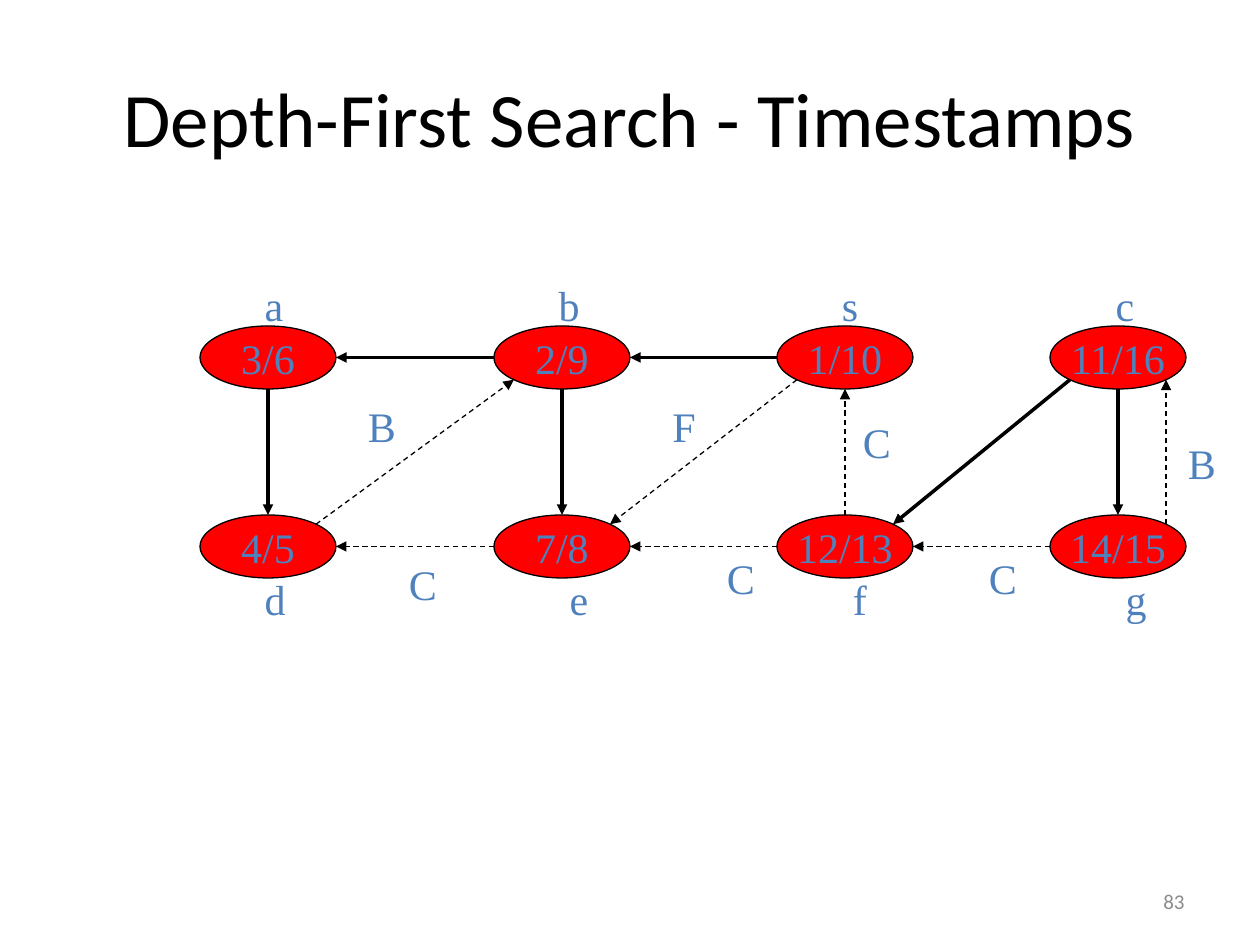
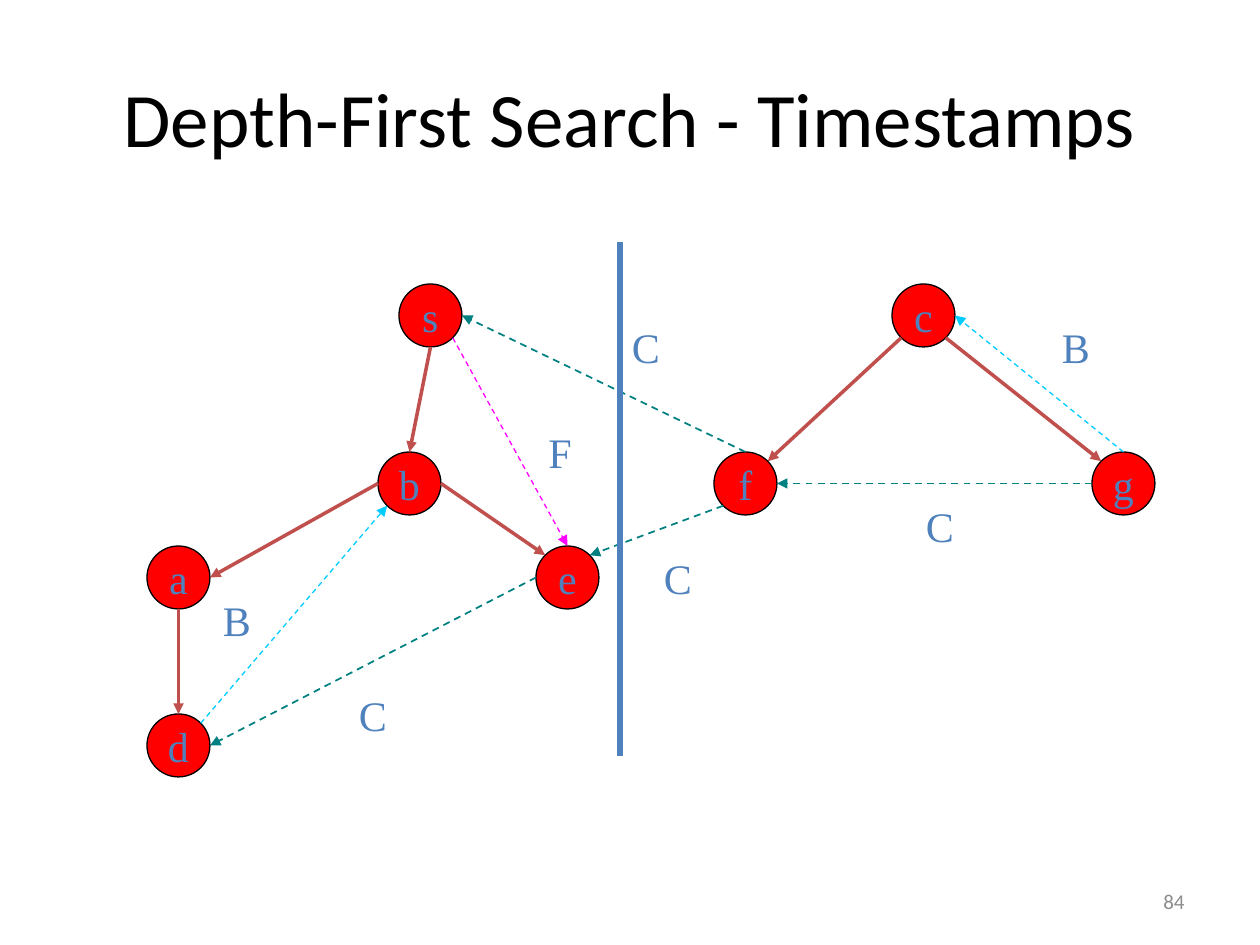
import math

import pptx
import pptx.dml.color
import pptx.enum.dml
import pptx.enum.shapes
import pptx.enum.text
import pptx.oxml
import pptx.oxml.ns
import pptx.util

PX = 914400 / 126
RGB = pptx.dml.color.RGBColor
BLACK = RGB(0x00, 0x00, 0x00)
RED = RGB(0xFF, 0x00, 0x00)
BLUE = RGB(0x4F, 0x81, 0xBD)
BRICK = RGB(0xC0, 0x50, 0x4D)
TEAL = RGB(0x00, 0x80, 0x80)
CYAN = RGB(0x00, 0xCC, 0xFF)
MAGENTA = RGB(0xFF, 0x00, 0xFF)
GREY = RGB(0x8C, 0x8C, 0x8C)

SANS = "Calibri"
SERIF = "Times New Roman"
CENTER = pptx.enum.text.PP_ALIGN.CENTER
RIGHT = pptx.enum.text.PP_ALIGN.RIGHT
TITLE = "Depth-First Search - Timestamps"
LABEL_WIDTHS = {"a": 44, "b": 47, "c": 44, "d": 47, "e": 44, "f": 39,
                "g": 47, "s": 42, "B": 53, "C": 53, "F": 49}
NODE_H = 63
LABEL_H = 63

DIAGONAL = math.sqrt(0.5)
SITES = {"n": (0, -1), "s": (0, 1), "w": (-1, 0), "e": (1, 0),
         "nw": (-DIAGONAL, -DIAGONAL), "ne": (DIAGONAL, -DIAGONAL),
         "sw": (-DIAGONAL, DIAGONAL), "se": (DIAGONAL, DIAGONAL)}

SOLID_BLACK = (BLACK, 2, False)
DASHED_BLACK = (BLACK, 0.75, True)
TREE = (BRICK, 2, False)
CROSS = (TEAL, 1, True)
BACK = (CYAN, 0.75, True)
FORWARD = (MAGENTA, 0.75, True)


def emu(*lengths):
    return [pptx.util.Emu(round(n * PX)) for n in lengths]


def write(tf, text, font, size, color, align=CENTER, wrap=False):
    tf.word_wrap = wrap
    p = tf.paragraphs[0]
    p.alignment = align
    r = p.add_run()
    r.text = text
    r.font.name = font
    r.font.size = pptx.util.Pt(size)
    r.font.color.rgb = color


def add_page(prs, number):
    s = prs.slides.add_slide(prs.slide_layouts[5])
    title = s.shapes.title
    title.left, title.top, title.width, title.height = emu(63, 38, 1134, 157)
    title.text_frame.vertical_anchor = pptx.enum.text.MSO_ANCHOR.MIDDLE
    write(title.text_frame, TITLE, SANS, 44, BLACK, wrap=True)
    tf = s.shapes.add_textbox(*emu(903, 876, 294, 50)).text_frame
    tf.vertical_anchor = pptx.enum.text.MSO_ANCHOR.MIDDLE
    write(tf, str(number), SANS, 12, GREY, RIGHT, wrap=True)
    return s


def add_node(s, text, left, top, width):
    kind = pptx.enum.shapes.MSO_SHAPE.FLOWCHART_CONNECTOR
    sp = s.shapes.add_shape(kind, *emu(left, top, width, NODE_H))
    sp.shadow.inherit = False
    sp.fill.solid()
    sp.fill.fore_color.rgb = RED
    sp.line.color.rgb = BLACK
    sp.line.width = pptx.util.Pt(0.75)
    sp.text_frame.vertical_anchor = pptx.enum.text.MSO_ANCHOR.MIDDLE
    write(sp.text_frame, text, SERIF, 24, BLUE)
    return sp


def add_label(s, text, center, top):
    width = LABEL_WIDTHS[text]
    box = s.shapes.add_textbox(*emu(center - width / 2, top, width, LABEL_H))
    box.text_frame.auto_size = pptx.enum.text.MSO_AUTO_SIZE.SHAPE_TO_FIT_TEXT
    write(box.text_frame, text, SERIF, 24, BLUE)


def add_line(s, start, end, color, width, dashed=False):
    kind = pptx.enum.shapes.MSO_CONNECTOR.STRAIGHT
    line = s.shapes.add_connector(kind, *start, *end)
    line.line.color.rgb = color
    line.line.width = pptx.util.Pt(width)
    if dashed:
        line.line.dash_style = pptx.enum.dml.MSO_LINE.DASH
    effects = pptx.oxml.parse_xml(
        f"<a:effectLst {pptx.oxml.ns.nsdecls('a')}/>")
    line._element.spPr.append(effects)
    return line


def site(node, name):
    dx, dy = SITES[name]
    return (round(node.left + node.width * (1 + dx) / 2),
            round(node.top + node.height * (1 + dy) / 2))


def add_edge(s, nodes, source, source_site, target, target_site, style):
    line = add_line(s, site(nodes[source], source_site),
                    site(nodes[target], target_site), *style)
    head = pptx.oxml.parse_xml(
        f'<a:tailEnd {pptx.oxml.ns.nsdecls("a")} type="triangle"/>')
    line.line._get_or_add_ln().append(head)


def add_graph(s, nodes, edges, labels):
    for edge in edges:
        add_edge(s, nodes, *edge)
    for label in labels:
        add_label(s, *label)


def timestamp_slide(prs):
    s = add_page(prs, 83)
    columns = (200, 494, 777, 1050)
    rows = {326: (("a", "3/6"), ("b", "2/9"), ("s", "1/10"), ("c", "11/16")),
            515: (("d", "4/5"), ("e", "7/8"), ("f", "12/13"), ("g", "14/15"))}
    nodes = {name: add_node(s, times, left, top, 136)
             for top, row in rows.items()
             for left, (name, times) in zip(columns, row)}
    edges = [
        ("b", "w", "a", "e", SOLID_BLACK),
        ("a", "s", "d", "n", SOLID_BLACK),
        ("b", "s", "e", "n", SOLID_BLACK),
        ("s", "w", "b", "e", SOLID_BLACK),
        ("c", "s", "g", "n", SOLID_BLACK),
        ("c", "sw", "f", "ne", SOLID_BLACK),
        ("e", "w", "d", "e", DASHED_BLACK),
        ("d", "ne", "b", "sw", DASHED_BLACK),
        ("s", "sw", "e", "ne", DASHED_BLACK),
        ("f", "w", "e", "e", DASHED_BLACK),
        ("f", "n", "s", "s", DASHED_BLACK),
        ("g", "w", "f", "e", DASHED_BLACK),
        ("g", "ne", "c", "se", DASHED_BLACK),
    ]
    labels = [
        ("a", 274, 273), ("b", 569, 273), ("s", 850, 273), ("c", 1125, 273),
        ("d", 275, 567), ("e", 579, 567), ("f", 860, 567), ("g", 1136, 567),
        ("B", 382, 394), ("F", 684, 394), ("C", 877, 410), ("B", 1202, 431),
        ("C", 423, 552), ("C", 741, 546), ("C", 1003, 546),
    ]
    add_graph(s, nodes, edges, labels)


def forest_slide(prs):
    s = add_page(prs, 84)
    places = {"a": (147, 546), "e": (536, 546), "s": (399, 284),
              "b": (378, 452), "f": (714, 452), "d": (147, 714),
              "c": (892, 284), "g": (1092, 452)}
    nodes = {name: add_node(s, name, *place, NODE_H)
             for name, place in places.items()}
    edges = [
        ("s", "s", "b", "n", TREE),
        ("b", "w", "a", "e", TREE),
        ("a", "s", "d", "n", TREE),
        ("b", "e", "e", "nw", TREE),
        ("c", "se", "g", "nw", TREE),
        ("c", "sw", "f", "ne", TREE),
        ("e", "w", "d", "e", CROSS),
        ("f", "sw", "e", "ne", CROSS),
        ("f", "n", "s", "e", CROSS),
        ("g", "w", "f", "e", CROSS),
        ("d", "ne", "b", "sw", BACK),
        ("g", "n", "c", "e", BACK),
        ("s", "se", "e", "n", FORWARD),
    ]
    labels = [
        ("B", 1076, 315), ("F", 560, 420), ("C", 373, 683), ("C", 940, 494),
        ("C", 678, 546), ("C", 646, 315), ("B", 237, 588),
    ]
    add_graph(s, nodes, edges, labels)
    add_line(s, emu(620, 242), emu(620, 756), BLUE, 3)


def main():
    prs = pptx.Presentation()
    prs.slide_width, prs.slide_height = emu(1260, 945)
    timestamp_slide(prs)
    forest_slide(prs)
    prs.save("out.pptx")


if __name__ == "__main__":
    main()
